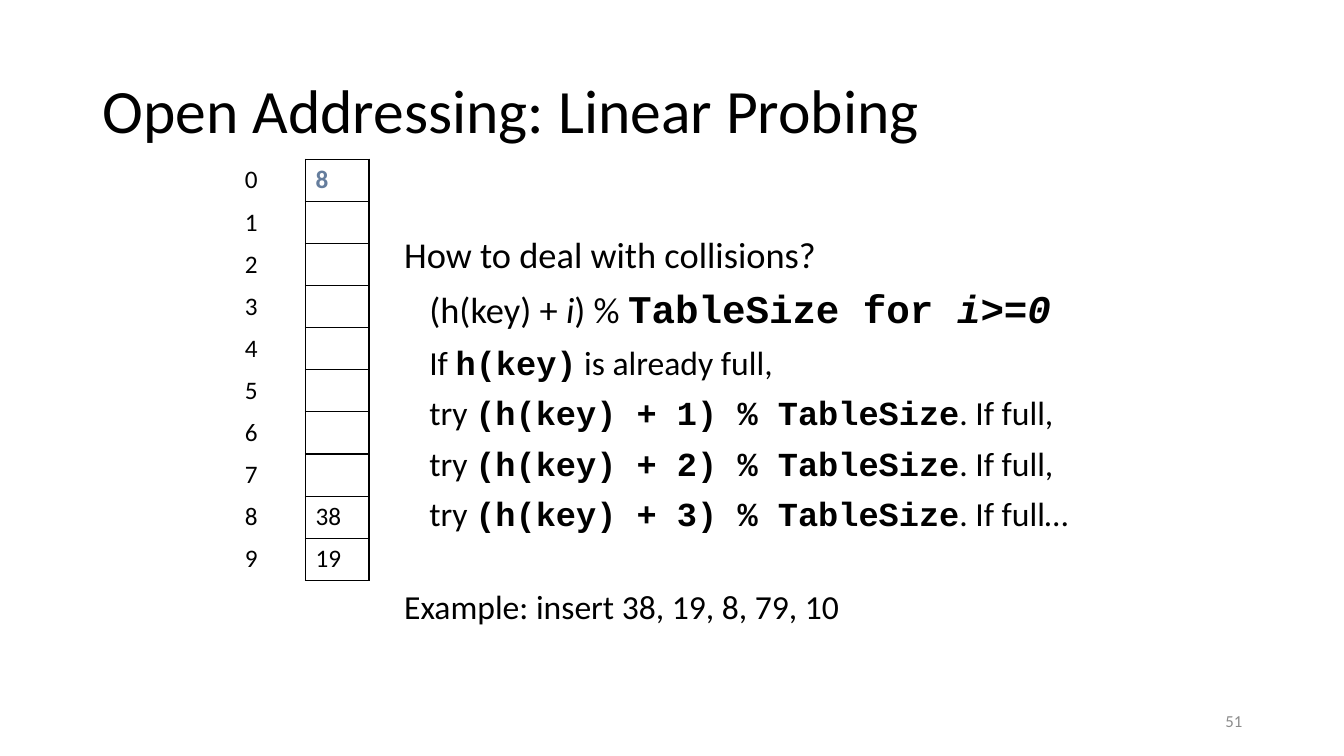
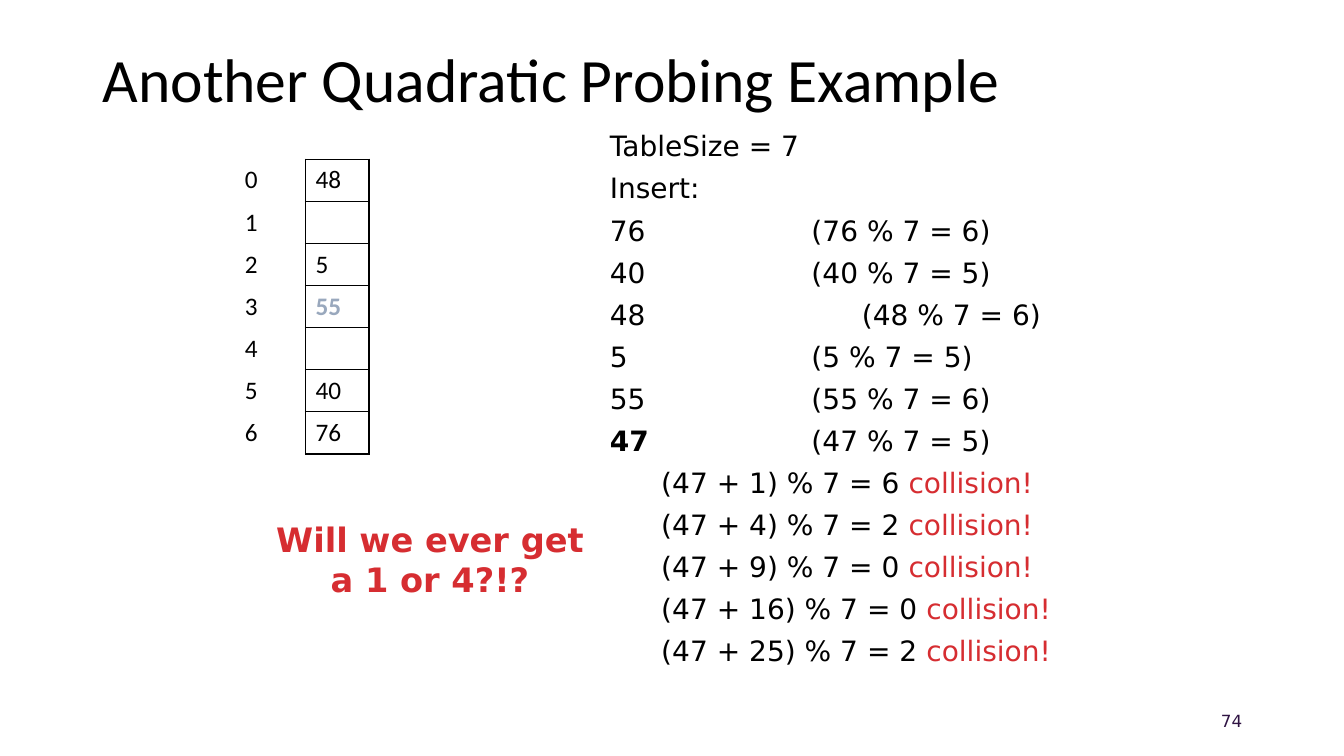
from pptx import Presentation
from pptx import util as u
from pptx.dml.color import RGBColor
from pptx.enum import text
from pptx.oxml import ns
from lxml import etree

BLACK, RED = "000000", "D62D31"
SANS, CODE, WIDE = "Calibri", "Courier New", "DejaVu Sans"
MIDDLE = text.MSO_ANCHOR.MIDDLE
code = {"name": CODE, "bold": True}
red = {"color": RED}
bold = {"bold": True}


def style(font, formats):
    for key, value in formats.items():
        if key == "color":
            font.color.rgb = RGBColor.from_string(value)
        elif key == "size":
            font.size = u.Pt(value)
        else:
            setattr(font, key, value)


def write(slide, box, paragraphs, base, anchor=text.MSO_ANCHOR.TOP):
    frame = slide.shapes.add_textbox(*[u.Inches(n) for n in box]).text_frame
    frame.word_wrap = True
    frame.vertical_anchor = anchor
    for i, (layout, runs) in enumerate(paragraphs):
        paragraph = frame.paragraphs[0] if i == 0 else frame.add_paragraph()
        props = paragraph._p.get_or_add_pPr()
        for key, value in layout.items():
            if key == "indent":
                props.set("marL", str(u.Inches(value)))
            elif key == "tab":
                stops = etree.SubElement(props, ns.qn("a:tabLst"))
                etree.SubElement(stops, ns.qn("a:tab"), pos=str(u.Inches(value)), algn="l")
            elif key != "space_before" or i > 0:
                setattr(paragraph, key, value)
        for words, formats in runs:
            run = paragraph.add_run()
            run.text = words
            style(run.font, {**base, **formats})


deck = Presentation()
deck.slide_width, deck.slide_height = u.Inches(13.33), u.Inches(7.5)

pages = [
    {"title": "Open Addressing: Linear Probing", "title_height": 1.45,
     "number": "51", "number_font": {"name": SANS, "color": "8C8C8C"},
     "slots": 10, "stored": {0: "8", 8: "38", 9: "19"},
     "newest": 0, "newest_color": "657D9D"},
    {"title": "Another Quadratic Probing Example", "title_height": 0.83,
     "number": "74", "number_font": {"name": WIDE, "color": "2F1343"},
     "slots": 7, "stored": {0: "48", 2: "5", 3: "55", 5: "40", 6: "76"},
     "newest": 3, "newest_color": "99A8BD"},
]

slides = []
for page in pages:
    slide = deck.slides.add_slide(deck.slide_layouts[6])
    slides.append(slide)
    write(slide, (0.92, 0.4, 11.5, page["title_height"]),
          [({"line_spacing": 0.9}, [(page["title"], {})])],
          {"name": SANS, "size": 44, "color": BLACK}, MIDDLE)
    write(slide, (9.42, 6.95, 3, 0.4),
          [({"alignment": text.PP_ALIGN.RIGHT}, [(page["number"], {})])],
          {"size": 12, **page["number_font"]}, MIDDLE)

    slots = page["slots"]
    hash_table = slide.shapes.add_table(
        slots, 2, u.Inches(2.33), u.Inches(1.58),
        u.Inches(1.33), u.Inches(4.18) * slots // 10).table
    hash_table.first_row = hash_table.horz_banding = False
    hash_table.columns[0].width = u.Inches(0.7)
    hash_table.columns[1].width = u.Inches(0.63)
    for slot in range(slots):
        for column, entry in enumerate((str(slot), page["stored"].get(slot, ""))):
            cell = hash_table.cell(slot, column)
            cell.vertical_anchor = MIDDLE
            props = cell._tc.get_or_add_tcPr()
            for side in "LRTB":
                edge = etree.SubElement(props, ns.qn("a:ln" + side), w=str(u.Pt(1)))
                if column == 1 or side == "R":
                    fill = etree.SubElement(edge, ns.qn("a:solidFill"))
                    etree.SubElement(fill, ns.qn("a:srgbClr"), val=BLACK)
                else:
                    etree.SubElement(edge, ns.qn("a:noFill"))
            cell.fill.background()
            is_newest = column == 1 and slot == page["newest"]
            cell.text = entry
            style(cell.text_frame.paragraphs[0].font,
                  {"name": SANS, "size": 18, "bold": is_newest,
                   "color": page["newest_color"] if is_newest else BLACK})

linear, quadratic = slides

line = {"line_spacing": 0.9, "space_before": u.Pt(10)}
step = {**line, "indent": 0.25}
large = {"size": 26}
strategy = [
    (line, [("How to deal with collisions?", large)]),
    (step, [("(h(key) + ", large), ("i", {**large, "italic": True}), (") % ", large),
            ("TableSize for ", {**code, "size": 28}),
            ("i>=0", {**code, "size": 28, "italic": True})]),
    (step, [("If ", {}), ("h(key)", code), (" is already full,", {})]),
]
for probe, ending in ((1, ","), (2, ","), (3, "…")):
    strategy.append((step, [("try ", {}), (f"(h(key) + {probe}) % TableSize", code),
                            (f". If full{ending}", {})]))
strategy.append(({**line, "space_before": u.Pt(41)},
                 [("Example: insert 38, 19, 8, 79, 10", {})]))
write(linear, (3.91, 2.3, 7.5, 4.54), strategy,
      {"name": SANS, "size": 24, "color": BLACK})

spaced = {"space_before": u.Pt(6)}
trace = [(spaced, [("TableSize = 7", {})]), (spaced, [("Insert:", {})])]
for key in (76, 40, 48, 5, 55, 47):
    trace.append(({**spaced, "tab": 2.5 if key == 48 else 2},
                  [(str(key), bold if key == 47 else {}),
                   (f"\t({key} % 7 = {key % 7})", {})]))
for offset, result in ((1, 6), (4, 2), (9, 0), (16, 0), (25, 2)):
    trace.append(({**spaced, "indent": 0.51},
                  [(f"(47 + {offset}) % 7 = {result} ", {}), ("collision!", red)]))
write(quadratic, (5.95, 1.23, 4.82, 5.91), trace,
      {"name": WIDE, "size": 20, "color": BLACK})

write(quadratic, (2.58, 5.1, 3.37, 0.91),
      [({"alignment": text.PP_ALIGN.CENTER}, [("Will we ever get a 1 or 4?!?", {})])],
      {"name": WIDE, "size": 24, "color": RED, "bold": True})

deck.save("out.pptx")
